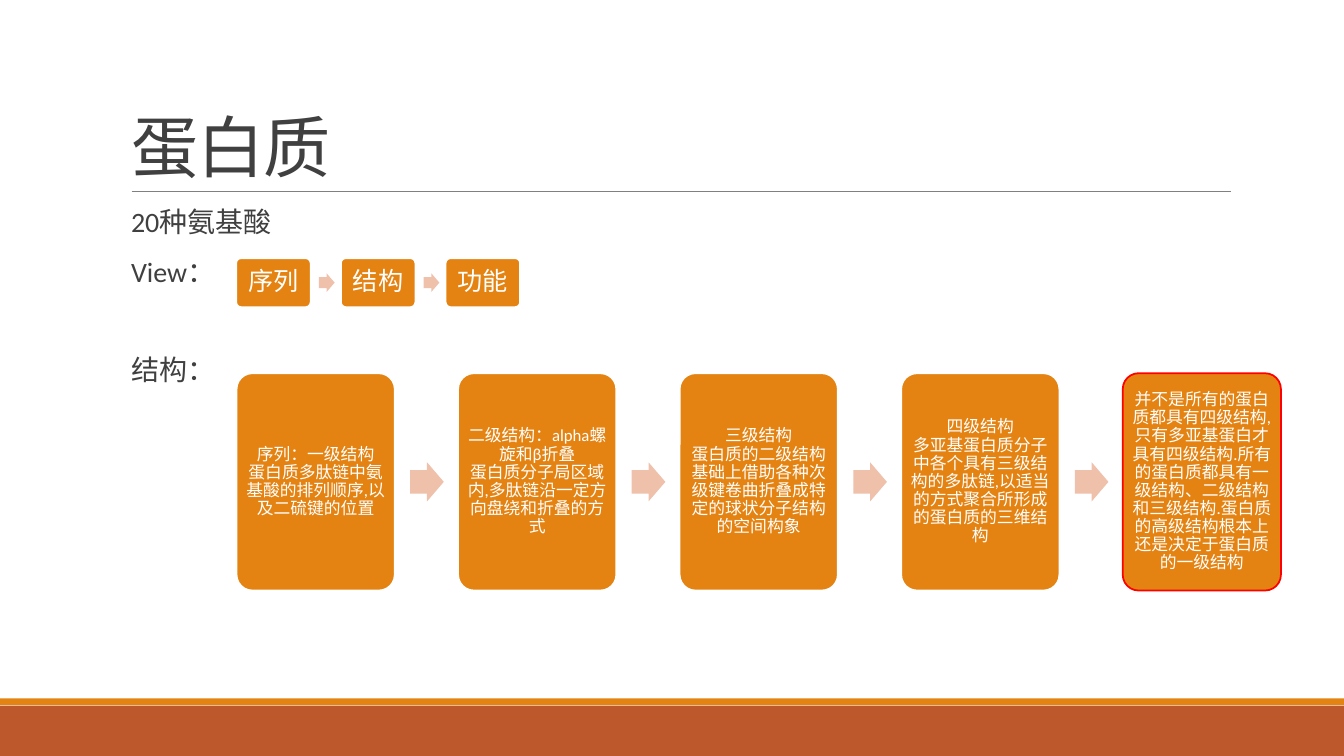
from dataclasses import dataclass

from lxml import etree
from pptx import Presentation
from pptx.dml.color import RGBColor
from pptx.enum import shapes, text
from pptx.oxml import ns
from pptx.util import Pt


@dataclass(frozen=True)
class Theme:
    font: str = "Calibri"
    ink: str = "404040"
    rule: str = "808080"
    orange: str = "E48312"
    rust: str = "BD582C"
    arrow: str = "EFC1AB"
    white: str = "FFFFFF"
    alert: str = "FF0000"
    title: float = 48
    body: float = 20
    step: float = 18
    detail: float = 12


@dataclass(frozen=True)
class Flow:
    left: float
    top: float
    width: float
    height: float
    pitch: float
    arrow_offset: float
    arrow_width: float
    arrow_height: float
    inset: float
    size: float


class Deck:
    def __init__(self, prs, theme):
        self.t = theme
        self.s = prs.slides.add_slide(prs.slide_layouts[1])

    def place(self, sp, left, top, width, height):
        sp.left, sp.top = Pt(left), Pt(top)
        sp.width, sp.height = Pt(width), Pt(height)

    def frame(self, sp, anchor, inset_x, inset_y):
        tf = sp.text_frame
        tf.word_wrap = True
        tf.auto_size = text.MSO_AUTO_SIZE.NONE
        tf.vertical_anchor = anchor
        tf.margin_left = tf.margin_right = Pt(inset_x)
        tf.margin_top = tf.margin_bottom = Pt(inset_y)
        return tf

    def run(self, p, words, size, color):
        r = p.add_run()
        r.text = words
        r.font.name = self.t.font
        r.font.size = Pt(size)
        r.font.color.rgb = RGBColor.from_string(color)
        return r

    def title(self, words, box):
        sp = self.s.shapes.title
        self.place(sp, *box)
        p = self.frame(sp, text.MSO_ANCHOR.BOTTOM, 7.2, 3.6).paragraphs[0]
        p.alignment = text.PP_ALIGN.LEFT
        p.line_spacing = 0.85
        r = self.run(p, words, self.t.title, self.t.ink)
        r.font._element.set("spc", "-50")

    def body(self, items, box):
        sp = self.s.placeholders[1]
        self.place(sp, *box)
        tf = self.frame(sp, text.MSO_ANCHOR.TOP, 0, 3.6)
        for i, (words, before) in enumerate(items):
            p = tf.add_paragraph() if i else tf.paragraphs[0]
            p.line_spacing = 0.9
            p.space_before, p.space_after = Pt(before), Pt(2)
            pPr = p._p.get_or_add_pPr()
            pPr.set("marL", str(Pt(7.2)))
            pPr.set("indent", "0")
            etree.SubElement(pPr, ns.qn("a:buNone"))
            self.run(p, words, self.t.body, self.t.ink)

    def shape(self, kind, box, fill, line=None):
        sp = self.s.shapes.add_shape(kind, *(Pt(v) for v in box))
        sp.shadow.inherit = False
        sp.fill.solid()
        sp.fill.fore_color.rgb = RGBColor.from_string(fill)
        if line:
            sp.line.color.rgb = RGBColor.from_string(line)
            sp.line.width = Pt(1.25)
        else:
            sp.line.fill.background()
        return sp

    def rule(self, x1, x2, y):
        cxn = self.s.shapes.add_connector(
            shapes.MSO_CONNECTOR.STRAIGHT, Pt(x1), Pt(y), Pt(x2), Pt(y))
        cxn.line.color.rgb = RGBColor.from_string(self.t.rule)
        cxn.line.width = Pt(0.5)
        etree.SubElement(cxn._element.spPr, ns.qn("a:effectLst"))

    def card(self, lines, box, flow, line):
        sp = self.shape(shapes.MSO_SHAPE.ROUNDED_RECTANGLE, box, self.t.orange, line)
        sp.adjustments[0] = 0.1
        tf = self.frame(sp, text.MSO_ANCHOR.MIDDLE, flow.inset, flow.inset)
        p = tf.paragraphs[0]
        p.alignment = text.PP_ALIGN.CENTER
        p.line_spacing = 0.9
        for i, words in enumerate(lines):
            if i:
                p.add_line_break()
            self.run(p, words, flow.size, self.t.white)

    def arrow(self, box):
        sp = self.shape(shapes.MSO_SHAPE.RIGHT_ARROW, box, self.t.arrow)
        sp.adjustments[0], sp.adjustments[1] = 0.6, 0.5

    def flow(self, cards, flow, last_line):
        last = len(cards) - 1
        arrow_top = flow.top + (flow.height - flow.arrow_height) / 2
        for i, lines in enumerate(cards):
            left = flow.left + i * flow.pitch
            self.card(lines, (left, flow.top, flow.width, flow.height), flow,
                      last_line if i == last else self.t.white)
            if i < last:
                self.arrow((left + flow.arrow_offset, arrow_top,
                            flow.arrow_width, flow.arrow_height))


VIEW = [["序列"], ["结构"], ["功能"]]
LEVELS = [
    ["序列：一级结构", "蛋白质多肽链中氨基酸的排列顺序,以及二硫键的位置"],
    ["二级结构：alpha螺旋和β折叠",
     "蛋白质分子局区域内,多肽链沿一定方向盘绕和折叠的方式"],
    ["三级结构",
     "蛋白质的二级结构基础上借助各种次级键卷曲折叠成特定的球状分子结构的空间构象"],
    ["四级结构",
     "多亚基蛋白质分子中各个具有三级结构的多肽链,以适当的方式聚合所形成的蛋白质的三维结构"],
    ["并不是所有的蛋白质都具有四级结构,只有多亚基蛋白才具有四级结构."
     "所有的蛋白质都具有一级结构、二级结构和三级结构."
     "蛋白质的高级结构根本上还是决定于蛋白质的一级结构"],
]


def main():
    prs = Presentation()
    prs.slide_width, prs.slide_height = Pt(960), Pt(540)
    t = Theme()
    deck = Deck(prs, t)
    deck.shape(shapes.MSO_SHAPE.RECTANGLE, (0, 504, 960, 36), t.rust)
    deck.shape(shapes.MSO_SHAPE.RECTANGLE, (0, 498.8, 960, 5), t.orange)
    deck.rule(94, 879, 136.6)
    deck.title("蛋白质", (86.4, 22.6, 792, 114.2))
    deck.body([("20种氨基酸", 0), ("View：", 12), ("结构：", 46)],
              (86.4, 145.4, 792, 316.8))
    deck.flow(VIEW, Flow(168.7, 184.4, 53.2, 35, 74.8, 59, 11.3, 13.2, 5, t.step),
              t.white)
    deck.flow(LEVELS, Flow(169, 266.6, 113, 155.2, 158.25, 124, 24, 28, 3.6, t.detail),
              t.alert)
    prs.save("out.pptx")


if __name__ == "__main__":
    main()
